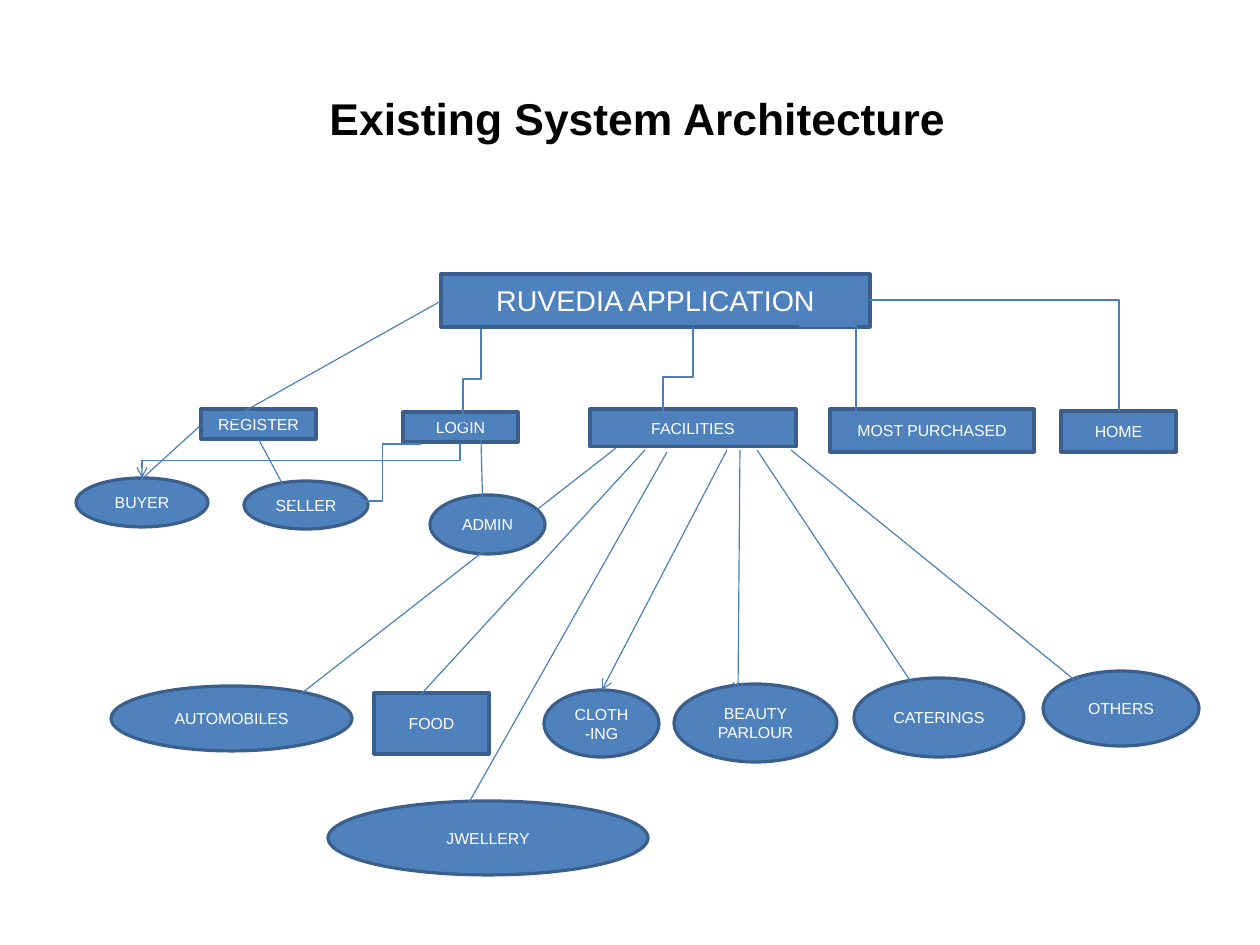
from lxml.etree import SubElement
from pptx import Presentation
from pptx.dml.color import RGBColor
from pptx.enum.shapes import MSO_CONNECTOR as LINK, MSO_SHAPE as SHAPE
from pptx.enum.text import MSO_ANCHOR as ANCHOR, PP_ALIGN as ALIGN
from pptx.oxml.ns import qn
from pptx.util import Pt

PIXEL = 8000  # EMU per pixel
BLUE = RGBColor(0x4F, 0x81, 0xBD)
OUTLINE = RGBColor(0x3A, 0x5F, 0x8C)
LINE_BLUE = RGBColor(0x4B, 0x7E, 0xBC)
WHITE = RGBColor(0xFF, 0xFF, 0xFF)
BLACK = RGBColor(0, 0, 0)


def style_text(text_frame, size, color, bold=False):
    text_frame.word_wrap = True
    text_frame.vertical_anchor = ANCHOR.MIDDLE
    paragraph = text_frame.paragraphs[0]
    paragraph.alignment = ALIGN.CENTER
    values = {"name": "Arial", "size": Pt(size), "bold": bold}
    for run in paragraph.runs:
        for name, value in values.items():
            setattr(run.font, name, value)
        run.font.color.rgb = color


def add_link(kind, x1, y1, x2, y2, arrow):
    connector = slide.shapes.add_connector(
        kind, *(round(value * PIXEL) for value in (x1, y1, x2, y2)))
    connector.line.color.rgb = LINE_BLUE
    connector.line.width = Pt(0.75)
    properties = connector._element.spPr
    if arrow:
        SubElement(connector.line._get_or_add_ln(), qn("a:tailEnd"), type="arrow")
    SubElement(properties, qn("a:effectLst"))
    return properties


presentation = Presentation()
presentation.slide_width = 1260 * PIXEL
presentation.slide_height = 945 * PIXEL
slide = presentation.slides.add_slide(presentation.slide_layouts[5])

# Title
title = slide.shapes.title
placement = {"left": 70, "top": 20, "width": 1134, "height": 195}
for name, value in placement.items():
    setattr(title, name, value * PIXEL)
title.text_frame.text = "Existing System Architecture"
style_text(title.text_frame, 28, BLACK, bold=True)

# Boxes and ellipses: text, left, top, width, height, text size
nodes = {
    SHAPE.RECTANGLE: [
        ("RUVEDIA APPLICATION", 441, 274, 429, 53, 18),
        ("FACILITIES", 590, 409, 206, 38, 10),
        ("LOGIN", 403, 412, 115, 30, 10),
        ("REGISTER", 201, 409, 115, 30, 10),
        ("MOST PURCHASED", 830, 409, 204, 43, 10),
        ("HOME", 1061, 411, 115, 41, 10),
        ("FOOD", 374, 693, 115, 61, 10),
    ],
    SHAPE.OVAL: [
        ("BUYER", 76, 478, 132, 49, 10),
        ("SELLER", 244, 481, 124, 48, 10),
        ("ADMIN", 430, 495, 115, 59, 10),
        ("CLOTH\v-ING", 544, 690, 115, 67, 10),
        ("BEAUTY PARLOUR", 674, 684, 163, 78, 10),
        ("CATERINGS", 854, 678, 170, 79, 10),
        ("OTHERS", 1043, 671, 156, 75, 10),
        ("AUTOMOBILES", 111, 686, 241, 65, 10),
        ("JWELLERY", 328, 801, 320, 74, 10),
    ],
}
for kind, rows in nodes.items():
    for text, left, top, width, height, size in rows:
        shape = slide.shapes.add_shape(
            kind, *(value * PIXEL for value in (left, top, width, height)))
        shape.shadow.inherit = False
        shape.fill.solid()
        shape.fill.fore_color.rgb = BLUE
        shape.line.color.rgb = OUTLINE
        shape.line.width = Pt(2)
        shape.text_frame.text = text
        style_text(shape.text_frame, size, WHITE)

# Straight links: from, to, arrow
for link in [
    (441, 301, 227, 421, True),   # application to register
    (201, 425, 122, 497, True),   # register to buyer
    (259, 440, 306, 528, True),   # register to seller
    (481, 440, 483, 515, True),   # login to admin
    (645, 450, 392, 726, True),   # facilities to food
    (667, 452, 458, 822, True),   # facilities to jewellery
    (727, 450, 602, 690, True),   # facilities to clothing
    (740, 450, 738, 693, True),   # facilities to beauty parlour
    (757, 450, 919, 694, True),   # facilities to caterings
    (791, 450, 1082, 686, True),  # facilities to others
    (616, 448, 297, 697, False),  # facilities to automobiles
]:
    add_link(LINK.STRAIGHT, *link)

# Elbow links that leave sideways
add_link(LINK.ELBOW, 799, 326, 913, 440, False)  # application to most purchased
add_link(LINK.ELBOW, 421, 444, 344, 501, True)   # login to seller
home_link = add_link(LINK.ELBOW, 870, 300, 1119, 411, False)
home_link.find(qn("a:prstGeom")).set("prst", "bentConnector2")

# Elbow links that leave downwards: a sideways one turned by 90 degrees
for x1, y1, x2, y2 in [
    (693, 327, 663, 427),  # application to facilities
    (481, 329, 463, 429),  # application to login
    (460, 443, 142, 478),  # login to buyer
]:
    width, height = y2 - y1, x1 - x2
    left = (x1 + x2 - width) / 2
    top = (y1 + y2 - height) / 2
    properties = add_link(LINK.ELBOW, left, top, left + width, top + height, True)
    properties.find(qn("a:xfrm")).set("rot", "5400000")

presentation.save("out.pptx")
